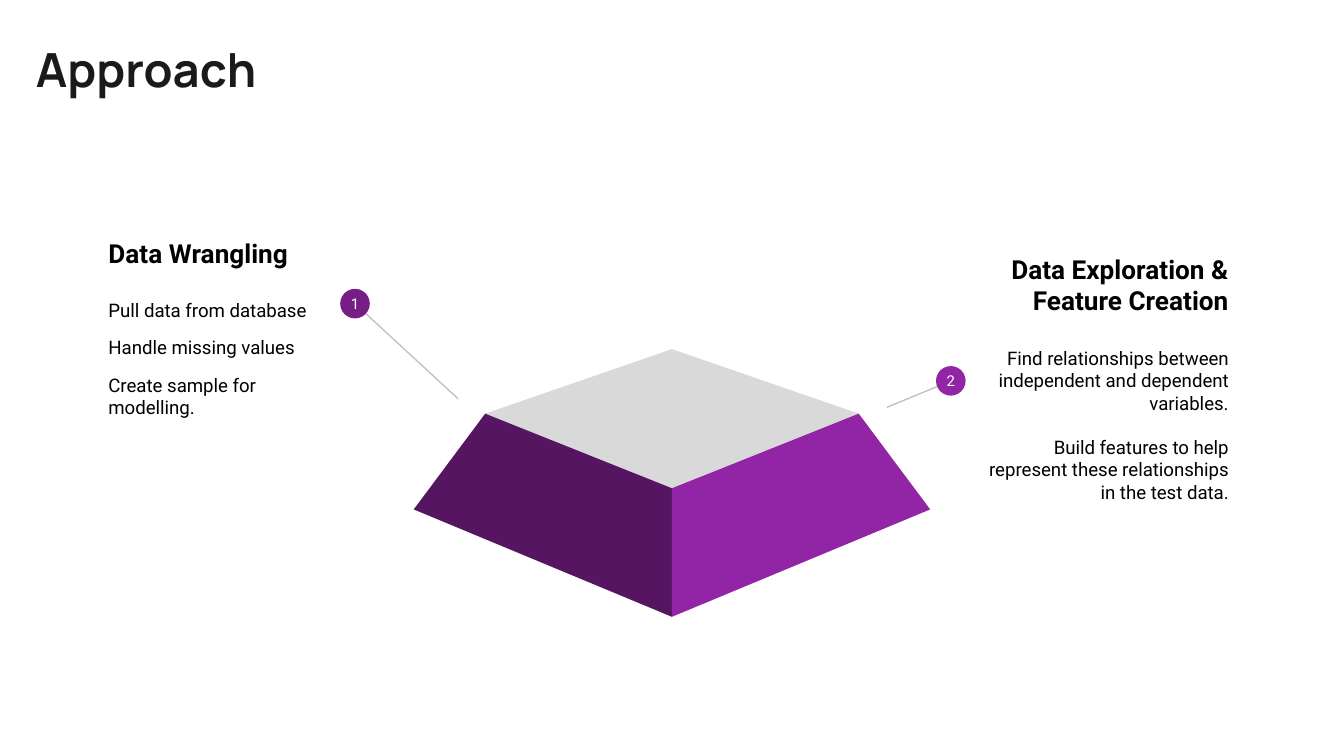
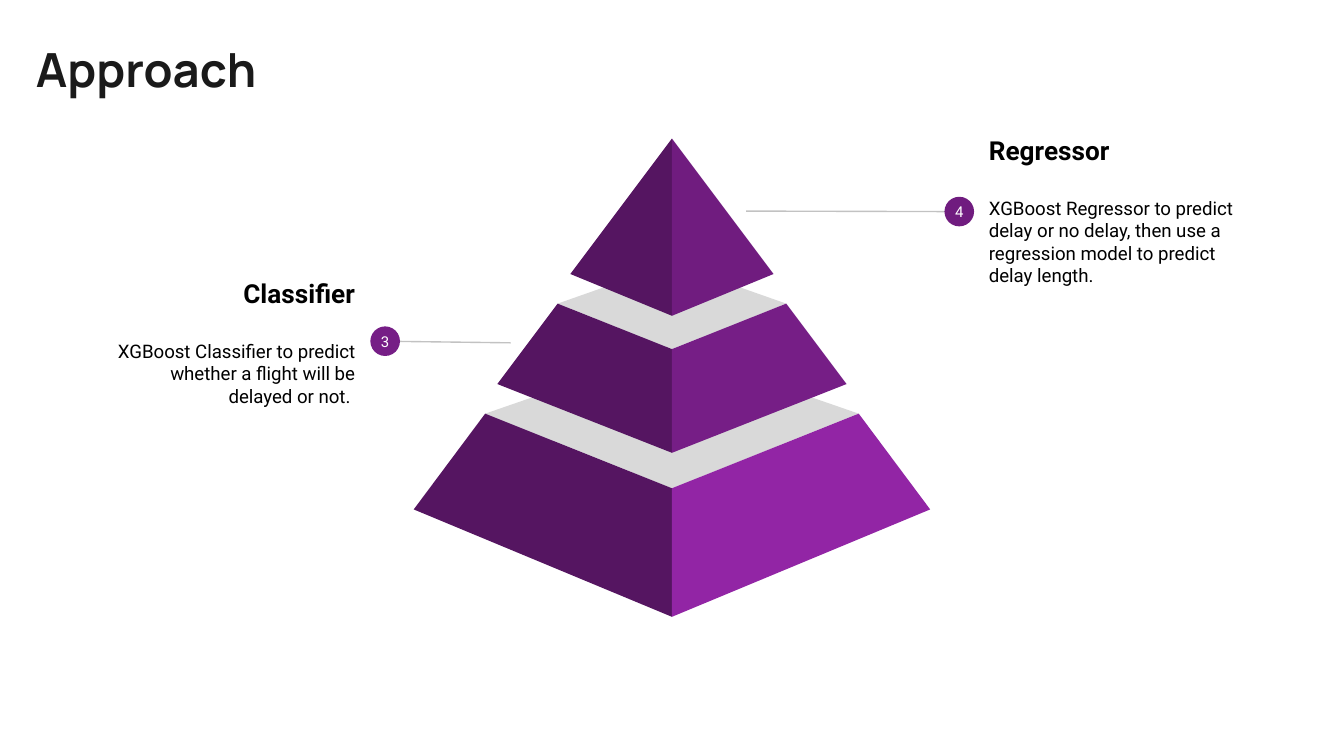
from lxml import etree
from pptx import Presentation
from pptx.dml.color import RGBColor
from pptx.enum.shapes import MSO_CONNECTOR, MSO_SHAPE
from pptx.enum.text import MSO_ANCHOR, PP_ALIGN
from pptx.oxml.ns import qn
from pptx.util import Cm, Pt

LEFT, RIGHT, CENTER = PP_ALIGN.LEFT, PP_ALIGN.RIGHT, PP_ALIGN.CENTER
TOP, MIDDLE = MSO_ANCHOR.TOP, MSO_ANCHOR.MIDDLE
OVAL, STRAIGHT = MSO_SHAPE.OVAL, MSO_CONNECTOR.STRAIGHT

INK = RGBColor(0x1A, 0x1A, 0x1A)
BLACK = RGBColor(0x00, 0x00, 0x00)
WHITE = RGBColor(0xFF, 0xFF, 0xFF)
GREY = RGBColor(0xC2, 0xC2, 0xC2)
LID = RGBColor(0xD9, 0xD9, 0xD9)
SHADE = RGBColor(0x55, 0x15, 0x61)
BRIGHT = RGBColor(0x92, 0x25, 0xA5)
MEDIUM = RGBColor(0x76, 0x1E, 0x86)
DEEP = RGBColor(0x70, 0x1C, 0x7F)

TITLE = dict(name="Manrope", size=Pt(25.2), bold=True, color=INK)
HEADING = dict(name="Roboto", size=Pt(14), bold=True, color=BLACK)
BODY = dict(name="Roboto", size=Pt(10), bold=False, color=BLACK)
NUMBER = dict(name="Roboto", size=Pt(8), bold=False, color=WHITE)

AXIS = 12.7
INSET = 0.25
BADGE = 0.56
HEADING_GAP = 16.4

BASE = dict(back=6.6, top=(3.53, 7.82), front_top=9.23,
            bottom=(4.88, 9.63), front=11.66, color=BRIGHT)
MIDDLE_TIER = dict(back=4.98, top=(2.16, 5.74), front_top=6.6,
                   bottom=(3.3, 7.26), front=8.56, color=MEDIUM)
TIP = dict(back=None, top=(0, 2.62), front_top=2.62,
           bottom=(1.92, 5.18), front=5.97, color=DEEP)

SLIDES = [
    dict(title="Approach", tiers=[BASE], callouts=[
        dict(number="1", heading="Data Wrangling",
             items=["Pull data from database", "Handle missing values",
                    "Create sample for modelling."],
             box=(1.8, 3.84, 4.57, 3.84), align=LEFT, anchor=TOP, top=0.64,
             gap=8, badge=(6.71, 5.74), end=(8.66, 7.54), color=MEDIUM),
        dict(number="2", heading="Data Exploration & Feature Creation",
             items=["Find relationships between independent and dependent variables.",
                    "Build features to help represent these relationships in the test data."],
             box=(18.29, 5.23, 5.18, 3.84), align=RIGHT, anchor=MIDDLE, top=INSET,
             gap=11.7, badge=(17.97, 7.2), end=(16.76, 7.7), color=BRIGHT),
    ]),
    dict(title="Approach", tiers=[BASE, MIDDLE_TIER, TIP], callouts=[
        dict(number="3", heading="Classifier",
             items=["XGBoost Classifier to predict whether a flight will be delayed or not. "],
             box=(1.78, 4.55, 5.18, 3.84), align=RIGHT, anchor=MIDDLE, top=INSET,
             gap=0, badge=(7.28, 6.45), end=(9.65, 6.48), color=MEDIUM),
        dict(number="4", heading="Regressor",
             items=["XGBoost Regressor to predict delay or no delay, then use a "
                    "regression model to predict delay length."],
             box=(18.44, 2.06, 5.18, 3.84), align=LEFT, anchor=MIDDLE, top=INSET,
             gap=0, badge=(18.13, 4), end=(14.1, 3.99), color=DEEP),
    ]),
]


def paint(sp, color):
    sp.shadow.inherit = False
    sp.fill.solid()
    sp.fill.fore_color.rgb = color
    sp.line.fill.background()


def write(p, text, style, align=LEFT, before=0):
    p.alignment = align
    p.space_before = Pt(before)
    r = p.add_run()
    r.text = text
    for key, value in style.items():
        if key == "color":
            r.font.color.rgb = value
        else:
            setattr(r.font, key, value)


def frame(sp, anchor, inset, top):
    tf = sp.text_frame
    settings = dict(word_wrap=True, vertical_anchor=anchor,
                    margin_left=Cm(inset), margin_right=Cm(inset),
                    margin_top=Cm(top), margin_bottom=Cm(inset))
    for key, value in settings.items():
        setattr(tf, key, value)
    return tf


def add_text(s, box, anchor=TOP, top=INSET):
    return frame(s.shapes.add_textbox(*map(Cm, box)), anchor, INSET, top)


def add_polygon(s, points, color):
    points = [(Cm(x), Cm(y)) for x, y in points]
    builder = s.shapes.build_freeform(*points[0])
    builder.add_line_segments(points[1:], close=True)
    paint(builder.convert_to_shape(), color)


def add_tier(s, tier):
    half, y = tier["top"]
    base_half, base_y = tier["bottom"]
    if tier["back"] is not None:
        add_polygon(s, [(AXIS - half, y), (AXIS, tier["front_top"]),
                        (AXIS + half, y), (AXIS, tier["back"])], LID)
    for side, color in ((-1, SHADE), (1, tier["color"])):
        add_polygon(s, [(AXIS + side * half, y), (AXIS + side * base_half, base_y),
                        (AXIS, tier["front"]), (AXIS, tier["front_top"])], color)


def add_callout(s, c):
    x, y = c["badge"]
    line = s.shapes.add_connector(STRAIGHT, *map(Cm, (x, y) + c["end"]))
    line.line.color.rgb = GREY
    line.line.width = Pt(0.75)
    etree.SubElement(line._element.spPr, qn("a:effectLst"))

    sp = s.shapes.add_shape(OVAL, Cm(x - BADGE / 2), Cm(y - BADGE / 2), Cm(BADGE), Cm(BADGE))
    paint(sp, c["color"])
    write(frame(sp, MIDDLE, 0, 0).paragraphs[0], c["number"], NUMBER, CENTER)

    tf = add_text(s, c["box"], c["anchor"], c["top"])
    write(tf.paragraphs[0], c["heading"], HEADING, c["align"])
    for i, item in enumerate(c["items"]):
        write(tf.add_paragraph(), item, BODY, c["align"], c["gap"] if i else HEADING_GAP)


prs = Presentation()
prs.slide_width, prs.slide_height = Cm(25.4), Cm(14.29)
for content in SLIDES:
    s = prs.slides.add_slide(prs.slide_layouts[6])
    write(add_text(s, (0.43, 0.51, 21.36, 1.5)).paragraphs[0], content["title"], TITLE)
    for tier in content["tiers"]:
        add_tier(s, tier)
    for callout in content["callouts"]:
        add_callout(s, callout)
prs.save("out.pptx")
